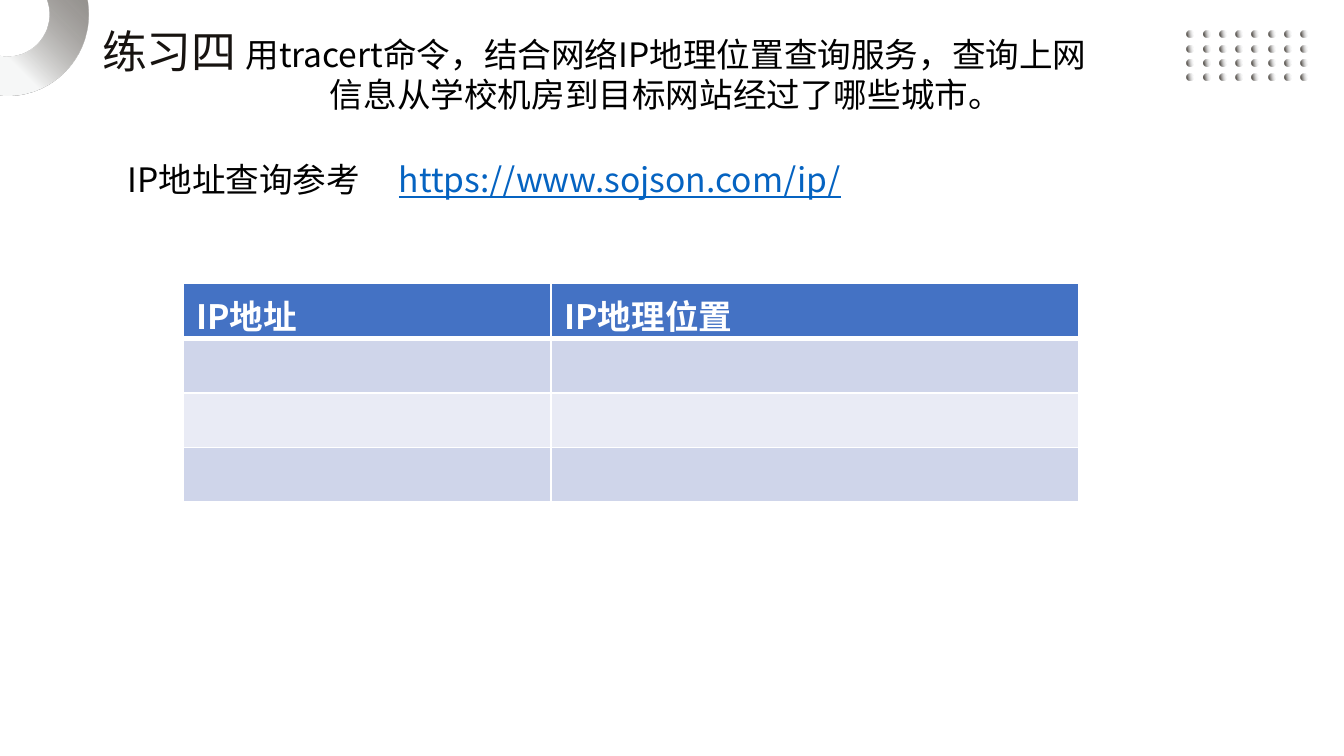
from math import cos, radians, sin

from lxml.etree import SubElement
from pptx import Presentation
from pptx.dml.color import RGBColor
from pptx.enum.shapes import MSO_SHAPE
from pptx.enum.text import MSO_ANCHOR, MSO_AUTO_SIZE, PP_ALIGN
from pptx.oxml.ns import qn
from pptx.util import Inches, Pt

COLORS = {
    "black": "000000", "white": "FFFFFF", "title": "171310", "link": "0563C1",
    "header": "4472C4", "band_dark": "CFD5EA", "band_light": "E9EBF5",
    "dot_light": "F6F8FC", "ring_light": "F7F8F8", "taupe": "504B45",
}
FONT = "Noto Sans CJK SC"
TITLE_FONT = "Noto Sans CJK JP"


def rgb(name):
    return RGBColor.from_string(COLORS[name])


def write_span(para, text, size=18, color="black", font=FONT, bold=False, underline=False):
    span = para.add_run()
    span.text = text
    span.font.name = font
    span.font.size = Pt(size)
    span.font.bold = bold
    span.font.underline = underline
    span.font.color.rgb = rgb(color)
    SubElement(span.font._element, qn("a:ea"), typeface=font)
    para.line_spacing = Pt(size * 1.2)
    return span


class SlideBuilder:
    """Holds the style and the current slide, and adds each kind of element."""

    def __init__(self, deck):
        self.page = deck.slides.add_slide(deck.slide_layouts[5])
        self.page.background.fill.solid()
        self.page.background.fill.fore_color.rgb = rgb("white")

    def place(self, box, left, top, width, height, wrap=True):
        box.left, box.top = Inches(left), Inches(top)
        box.width, box.height = Inches(width), Inches(height)
        frame = box.text_frame
        frame.auto_size = MSO_AUTO_SIZE.NONE
        frame.word_wrap = wrap
        frame.vertical_anchor = MSO_ANCHOR.TOP
        frame.margin_left = frame.margin_right = Inches(0.1)
        frame.margin_top = frame.margin_bottom = Inches(0.05)
        return frame.paragraphs[0]

    def title(self, text, *area):
        para = self.place(self.page.shapes.title, *area, wrap=False)
        para.alignment = PP_ALIGN.LEFT
        write_span(para, text, size=24, color="title", font=TITLE_FONT)

    def text(self, spans, *area, align=PP_ALIGN.LEFT, tab=None):
        para = self.place(self.page.shapes.add_textbox(0, 0, 0, 0), *area)
        para.alignment = align
        if tab:
            stops = SubElement(para._p.get_or_add_pPr(), qn("a:tabLst"))
            SubElement(stops, qn("a:tab"), pos=str(Inches(tab)), algn="l")
        for text, style in spans:
            write_span(para, text, **style)

    def gradient(self, shape, angle, stops):
        shape.shadow.inherit = False
        shape.line.fill.background()
        shape.fill.gradient()
        shape.fill.gradient_angle = angle
        for stop, (position, color, _) in zip(shape.fill.gradient_stops, stops):
            stop.color.rgb = rgb(color)
            stop.position = position
        tones = shape._element.spPr.findall(".//" + qn("a:srgbClr"))
        for tone, (_, _, alpha) in zip(tones, stops):
            SubElement(tone, qn("a:alpha"), val=str(alpha * 1000))

    def dot(self, left, top, size=0.05):
        shape = self.page.shapes.add_shape(
            MSO_SHAPE.OVAL, Inches(left), Inches(top), Inches(size), Inches(size))
        self.gradient(shape, 190, [(0, "dot_light", 0), (0.87, "taupe", 100)])

    def ring(self, center_x, center_y, outer, inner):
        def arc(radius, start, stop, steps=40):
            angles = [radians(start + (stop - start) * i / steps) for i in range(steps + 1)]
            return [(Inches(center_x + radius * cos(a)), Inches(center_y + radius * sin(a)))
                    for a in angles]

        points = arc(outer, -10.6, 96) + arc(inner, 101.5, -21)
        builder = self.page.shapes.build_freeform(*points[0])
        builder.add_line_segments(points[1:], close=True)
        self.gradient(builder.convert_to_shape(), 45,
                      [(0.25, "ring_light", 100), (1, "taupe", 60)])

    def table(self, headings, bands, left, top, widths, height):
        rows = len(bands) + 1
        grid = self.page.shapes.add_table(
            rows, len(widths), Inches(left), Inches(top),
            Inches(sum(widths)), Inches(height)).table
        for column, width in zip(grid.columns, widths):
            column.width = Inches(width)
        for i, fill in enumerate(["header"] + bands):
            for j, heading in enumerate(headings):
                cell = grid.cell(i, j)
                if i == 0:
                    cell.margin_top, cell.margin_bottom = Inches(0.11), 0
                    write_span(cell.text_frame.paragraphs[0], heading, color="white", bold=True)
                self.borders(cell, top=3 if i == 1 else 1, bottom=3 if i == 0 else 1)
                cell.fill.solid()
                cell.fill.fore_color.rgb = rgb(fill)

    def borders(self, cell, top, bottom):
        properties = cell._tc.get_or_add_tcPr()
        for side, width in (("L", 1), ("R", 1), ("T", top), ("B", bottom)):
            line = SubElement(properties, qn(f"a:ln{side}"), w=str(Pt(width)))
            fill = SubElement(line, qn("a:solidFill"))
            SubElement(fill, qn("a:srgbClr"), val=COLORS["white"])


def main():
    deck = Presentation()
    deck.slide_width, deck.slide_height = Inches(10), Inches(10 * 9 / 16)
    slide = SlideBuilder(deck)
    for column in range(8):
        for row in range(4):
            slide.dot(8.83 + 0.85 / 7 * column, 0.23 + 0.32 / 3 * row)
    slide.ring(0.06, 0.11, outer=0.6, inner=0.31)
    slide.title("练习四", 0.66, 0.13, 1.21, 0.5)
    slide.text([("用tracert命令，结合网络IP地理位置查询服务，查询上网信息从学校机房到目标网站经过了哪些城市。", {})],
               1.66, 0.2, 6.59, 0.36, align=PP_ALIGN.CENTER)
    slide.table(["IP地址", "IP地理位置"], ["band_dark", "band_light", "band_dark"],
                1.36, 2.11, widths=(2.74, 3.93), height=1.62)
    slide.text([("IP地址查询参考\t", {}),
                ("https://www.sojson.com/ip/", {"color": "link", "underline": True})],
               0.85, 1.13, 6.67, 0.4, tab=2.02)
    deck.save("out.pptx")


if __name__ == "__main__":
    main()
